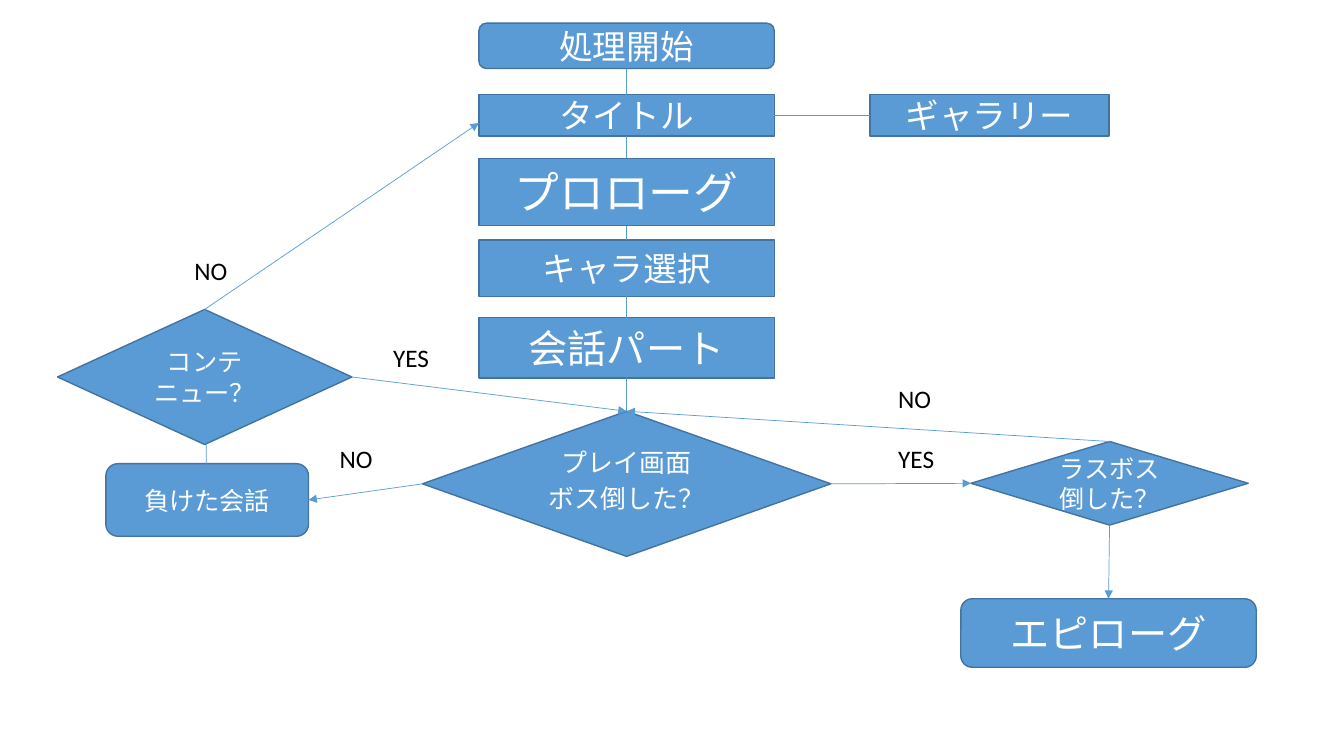
from dataclasses import dataclass

from lxml.etree import SubElement
from pptx import Presentation
from pptx.dml.color import RGBColor
from pptx.enum.shapes import MSO_CONNECTOR as Connector, MSO_SHAPE as Preset
from pptx.enum.text import MSO_ANCHOR as Anchor, MSO_AUTO_SIZE as AutoSize, PP_ALIGN as Align
from pptx.oxml.ns import qn
from pptx.util import Inches, Pt


@dataclass(frozen=True)
class Theme:
    font: str = "Calibri"
    fill: RGBColor = RGBColor(0x5B, 0x9B, 0xD5)
    outline: RGBColor = RGBColor(0x43, 0x73, 0x9E)
    light: RGBColor = RGBColor(0xFF, 0xFF, 0xFF)
    dark: RGBColor = RGBColor(0x00, 0x00, 0x00)
    small: float = 18
    play: float = 18.5
    medium: float = 24
    large: float = 28
    huge: float = 32
    border: float = 1
    flow: float = 0.5


def apply_format(target, values):
    for name, value in values.items():
        setattr(target, name, value)


class FlowSlide:
    def __init__(self, presentation, theme):
        self.theme = theme
        self.slide = presentation.slides.add_slide(presentation.slide_layouts[6])
        self.nodes = {}

    def fill_text(self, shape, text, size, color, frame_format, paragraph_format):
        frame = shape.text_frame
        apply_format(frame, {"word_wrap": True, **frame_format})
        frame.text = text
        for paragraph in frame.paragraphs:
            apply_format(paragraph, paragraph_format)
            for run in paragraph.runs:
                apply_format(run.font, {"name": self.theme.font, "size": Pt(size)})
                run.font.color.rgb = color

    def node(self, name, preset, box, text, size, spacing=None):
        shape = self.slide.shapes.add_shape(preset, *map(Inches, box))
        shape.shadow.inherit = False
        shape.fill.solid()
        shape.fill.fore_color.rgb = self.theme.fill
        shape.line.color.rgb = self.theme.outline
        shape.line.width = Pt(self.theme.border)
        self.fill_text(shape, text, size, self.theme.light,
                       {"vertical_anchor": Anchor.MIDDLE},
                       {"alignment": Align.CENTER, **(spacing or {})})
        self.nodes[name] = shape

    def label(self, text, box):
        shape = self.slide.shapes.add_textbox(*map(Inches, box))
        self.fill_text(shape, text, self.theme.small, self.theme.dark,
                       {"auto_size": AutoSize.SHAPE_TO_FIT_TEXT}, {})

    def flow(self, source, source_side, target, target_side, arrow=False):
        connector = self.slide.shapes.add_connector(Connector.STRAIGHT, 0, 0, 0, 0)
        connector.begin_connect(self.nodes[source], source_side)
        if isinstance(target, tuple):
            connector.end_x, connector.end_y = map(Inches, target)
        else:
            connector.end_connect(self.nodes[target], target_side)
        connector.line.color.rgb = self.theme.fill
        connector.line.width = Pt(self.theme.flow)
        if arrow:
            SubElement(connector.get_or_add_ln(), qn("a:tailEnd"), type="triangle")
        SubElement(connector._element.spPr, qn("a:effectLst"))


TOP, LEFT, BOTTOM, RIGHT = range(4)
COLUMN_LEFT, COLUMN_WIDTH = 4.75, 2.93
LABEL_HEIGHT = 0.4


def main():
    presentation = Presentation()
    apply_format(presentation, {"slide_width": Inches(13.33), "slide_height": Inches(7.5)})
    theme = Theme()
    chart = FlowSlide(presentation, theme)

    main_steps = [
        ("start", Preset.FLOWCHART_ALTERNATE_PROCESS, 0.23, 0.45, "処理開始", theme.medium),
        ("title", Preset.FLOWCHART_PROCESS, 0.94, 0.41, "タイトル", theme.medium),
        ("prologue", Preset.RECTANGLE, 1.57, 0.67, "プロローグ", theme.huge),
        ("character", Preset.FLOWCHART_PROCESS, 2.38, 0.56, "キャラ選択", theme.medium),
        ("talk", Preset.RECTANGLE, 3.15, 0.6, "会話パート", theme.large),
    ]
    for name, preset, top, height, text, size in main_steps:
        chart.node(name, preset, (COLUMN_LEFT, top, COLUMN_WIDTH, height), text, size)

    chart.node("play", Preset.FLOWCHART_DECISION, (4.19, 4.08, 4.05, 1.44),
               "プレイ画面\nボス倒した？", theme.play,
               {"line_spacing": 0.7, "space_before": Pt(10)})

    branches = [
        ("gallery", Preset.FLOWCHART_PROCESS, (8.63, 0.94, 2.37, 0.41), "ギャラリー", theme.medium),
        ("defeat", Preset.FLOWCHART_ALTERNATE_PROCESS, (1.05, 4.6, 2.01, 0.72), "負けた会話", theme.small),
        ("continue", Preset.FLOWCHART_DECISION, (0.57, 3.07, 2.92, 1.34), "コンテニュー？", theme.small),
        ("last boss", Preset.FLOWCHART_DECISION, (9.63, 4.38, 2.75, 0.83), "ラスボス倒した？", theme.small),
        ("epilogue", Preset.FLOWCHART_ALTERNATE_PROCESS, (9.53, 5.94, COLUMN_WIDTH, 0.68), "エピローグ", theme.large),
    ]
    for branch in branches:
        chart.node(*branch)

    sequence = [step[0] for step in main_steps] + ["play"]
    for source, target in zip(sequence, sequence[1:]):
        chart.flow(source, BOTTOM, target, TOP)
    chart.flow("title", RIGHT, "gallery", LEFT)

    arrows = [
        ("play", LEFT, "defeat", RIGHT),
        ("defeat", BOTTOM, "continue", TOP),
        ("continue", TOP, (COLUMN_LEFT, 1.22), None),
        ("continue", RIGHT, "play", TOP),
        ("play", RIGHT, "last boss", LEFT),
        ("last boss", TOP, "play", TOP),
        ("last boss", BOTTOM, "epilogue", TOP),
    ]
    for arrow in arrows:
        chart.flow(*arrow, arrow=True)

    labels = [
        ("YES", 8.81, 4.35, 0.72),
        ("NO", 3.27, 4.35, 0.68),
        ("NO", 1.83, 2.48, 0.64),
        ("NO", 8.81, 3.75, 0.55),
        ("YES", 3.8, 3.35, 0.73),
    ]
    for text, left, top, width in labels:
        chart.label(text, (left, top, width, LABEL_HEIGHT))

    presentation.save("out.pptx")


if __name__ == "__main__":
    main()
